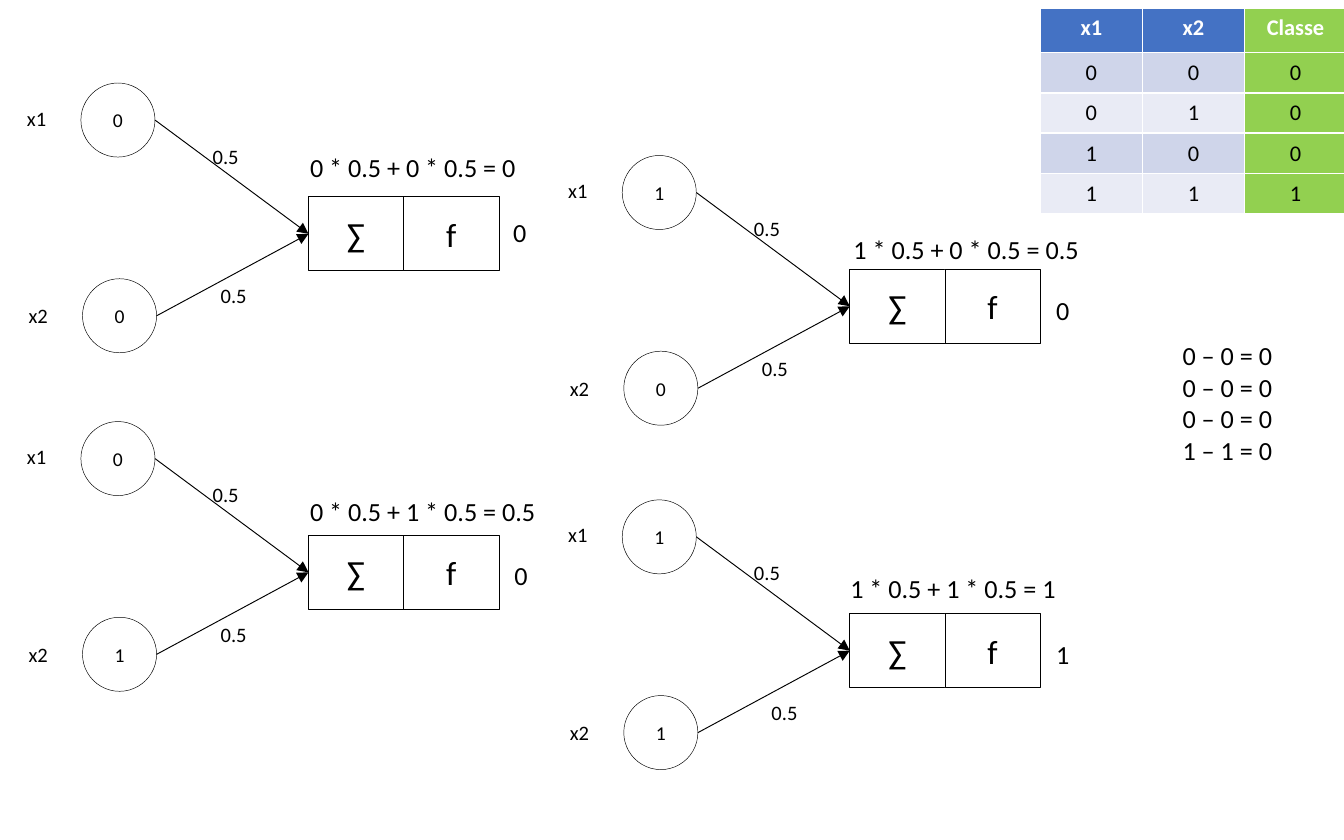
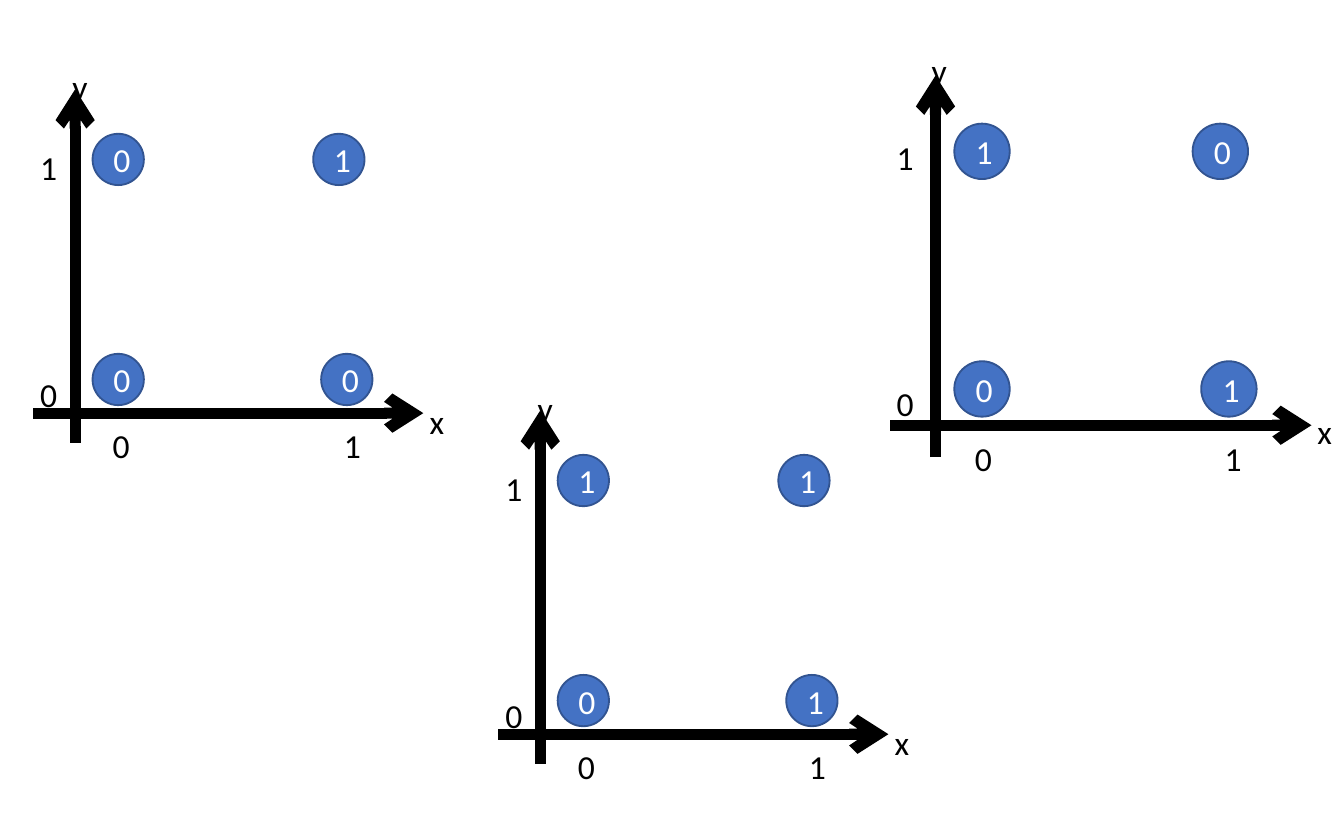
from copy import deepcopy

from lxml.etree import SubElement
from pptx import Presentation
from pptx.dml.color import RGBColor
from pptx.enum.shapes import MSO_CONNECTOR, MSO_SHAPE
from pptx.enum.text import MSO_ANCHOR, MSO_AUTO_SIZE, PP_ALIGN
from pptx.oxml.ns import qn
from pptx.util import Cm, Pt

BLACK, WHITE = "000000", "FFFFFF"
BLUE, NAVY, GREEN = "4472C4", "325491", "92D050"
BANDS = "CFD5EA", "E9EBF5"


def paint(color, code):
    color.rgb = RGBColor.from_string(code)


def fill(thing, code):
    thing.fill.solid()
    paint(thing.fill.fore_color, code)


class Deck:
    """Holds the style, the current slide and the shapes being drawn into."""

    font = {"name": "Calibri", "bold": False}

    def __init__(self):
        self.show = Presentation()
        self.show.slide_width, self.show.slide_height = Cm(25.4), Cm(15.88)

    def slide(self):
        self.page = self.show.slides.add_slide(self.show.slide_layouts[6])
        self.host = self.page.shapes

    def group(self):
        self.host = self.page.shapes.add_group_shape().shapes

    def ungroup(self):
        self.host = self.page.shapes

    def label(self, frame, words, size, code=BLACK, align=PP_ALIGN.LEFT, **more):
        """Fills one paragraph; a newline in the words becomes a line break."""
        para = frame.paragraphs[0]
        para.text = words
        para.alignment = align
        for run in para.runs:
            for key, value in {**self.font, "size": Pt(size), **more}.items():
                setattr(run.font, key, value)
            paint(run.font.color, code)
        for gap in para._p.findall(qn("a:br")):
            gap.append(deepcopy(run._r.rPr))

    def text(self, x, y, wide, high, words, size):
        box = self.host.add_textbox(Cm(x), Cm(y), Cm(wide), Cm(high))
        frame = box.text_frame
        frame.word_wrap = False
        frame.auto_size = MSO_AUTO_SIZE.SHAPE_TO_FIT_TEXT
        self.label(frame, words, size)

    def shape(self, kind, x, y, wide, high, words, size,
              back=WHITE, edge=BLACK, width=0.25, ink=BLACK):
        form = self.host.add_shape(kind, Cm(x), Cm(y), Cm(wide), Cm(high))
        form.shadow.inherit = False
        fill(form, back)
        paint(form.line.color, edge)
        form.line.width = Pt(width)
        form.text_frame.vertical_anchor = MSO_ANCHOR.MIDDLE
        self.label(form.text_frame, words, size, ink, PP_ALIGN.CENTER)

    def arrow(self, x1, y1, x2, y2, width, head):
        wire = self.host.add_connector(
            MSO_CONNECTOR.STRAIGHT, Cm(x1), Cm(y1), Cm(x2), Cm(y2))
        paint(wire.line.color, BLACK)
        wire.line.width = Pt(width)
        props = wire._element.spPr
        SubElement(props.find(qn("a:ln")), qn("a:tailEnd"), type=head)
        SubElement(props, qn("a:effectLst"))

    def table(self, x, y, wide, highs, rows):
        grid = self.host.add_table(len(rows), len(rows[0]), Cm(x), Cm(y),
                                   Cm(wide * len(rows[0])), Cm(sum(highs))).table
        for col in grid.columns:
            col.width = Cm(wide)
        for r, row in enumerate(rows):
            grid.rows[r].height = Cm(highs[r])
            for c, words in enumerate(row):
                cell = grid.cell(r, c)
                back = BLUE if r == 0 else BANDS[(r - 1) % 2]
                fill(cell, GREEN if c == len(row) - 1 else back)
                self.label(cell.text_frame, words, 12, BLACK if r else WHITE,
                           PP_ALIGN.CENTER, bold=r == 0)


def neuron(deck, x, y, first, second, shift=0):
    """Draws two inputs feeding a sum; shift moves the lower weight right."""
    deck.group()
    for dx, dy, words in (0, 0, first), (0.03, 3.7, second):
        deck.shape(MSO_SHAPE.OVAL, x + dx, y + dy, 1.4, 1.4, words, 10.5)
    for i, words in enumerate("∑f"):
        deck.shape(MSO_SHAPE.RECTANGLE, x + 4.3 + 1.8 * i, y + 2.15,
                   1.8, 1.4, words, 18)
    for dx, dy in (1.4, 0.7), (1.43, 4.4):
        deck.arrow(x + dx, y + dy, x + 4.3, y + 2.85, 0.5, "triangle")
    for dx, dy, wide, words in ((2.24, 1.02, 1.14, "0.5"),
                                (2.39 + shift, 3.66, 1.14, "0.5"),
                                (-1.27, 0.3, 0.99, "x1"),
                                (-1.24, 4.04, 0.99, "x2")):
        deck.text(x + dx, y + dy, wide, 0.74, words, 11)
    deck.ungroup()


def plot(deck, x, y, marks, scale=1):
    """Draws axes crossing at x, y; marks run from top left anticlockwise."""
    deck.group()
    for x1, y1, x2, y2 in (-0.79, 0, 6.58, 0), (0, 0.56, 0, -6.12):
        deck.arrow(x + x1 * scale, y + y1 * scale,
                   x + x2 * scale, y + y2 * scale, 6, "arrow")
    spots = (0.33, -5.28), (0.33, -1.12), (4.65, -1.12), (4.5, -5.28)
    for (dx, dy), mark in zip(spots, marks):
        deck.shape(MSO_SHAPE.OVAL, x + dx * scale, y + dy * scale,
                   0.97 * scale, 0.97 * scale, mark, 18, BLUE, NAVY, 1, WHITE)
    for dx, dy, words in ((-0.91, -5.16, "1"), (4.83, 0.1, "1"),
                          (-0.91, -0.86, "0"), (0.46, 0.1, "0"),
                          (6.45, -0.36, "x"), (-0.3, -6.68, "y")):
        deck.text(x + dx * scale, y + dy * scale,
                  0.84 if words == "y" else 0.91, 1.02, words, 18)
    deck.ungroup()


def main():
    deck = Deck()

    deck.slide()
    for x, y, first, second, shift in ((1.53, 1.57, "0", "0", 0),
                                       (1.53, 7.97, "0", "1", 0),
                                       (11.76, 2.94, "1", "0", 0),
                                       (11.76, 9.45, "1", "1", 0.18)):
        neuron(deck, x, y, first, second, shift)
    for x, y, wide, words in ((5.61, 2.74, 4.42, "0 * 0.5 + 0 * 0.5 = 0"),
                              (5.61, 9.25, 4.8, "0 * 0.5 + 1 * 0.5 = 0.5"),
                              (15.88, 4.29, 4.8, "1 * 0.5 + 0 * 0.5 = 0.5"),
                              (15.82, 10.69, 4.42, "1 * 0.5 + 1 * 0.5 = 1"),
                              (9.45, 3.96, 0.76, "0"),
                              (9.47, 10.46, 0.76, "0"),
                              (19.71, 5.44, 0.76, "0"),
                              (19.71, 11.94, 0.76, "1")):
        deck.text(x, y, wide, 0.86, words, 14)
    checks = ["0 – 0 = 0"] * 3 + ["1 – 1 = 0"]
    deck.text(22.1, 6.3, 2.21, 2.64, "\n".join(checks), 14)
    deck.table(19.66, 0.15, 1.93, [0.84] + [0.71] * 4,
               [("x1", "x2", "Classe"), "000", "010", "100", "111"])

    deck.slide()
    plot(deck, 1.42, 7.81, "0001")
    plot(deck, 17.68, 8.04, "1010", 1.08)
    plot(deck, 10.21, 13.88, "1011")

    deck.show.save("out.pptx")


if __name__ == "__main__":
    main()
